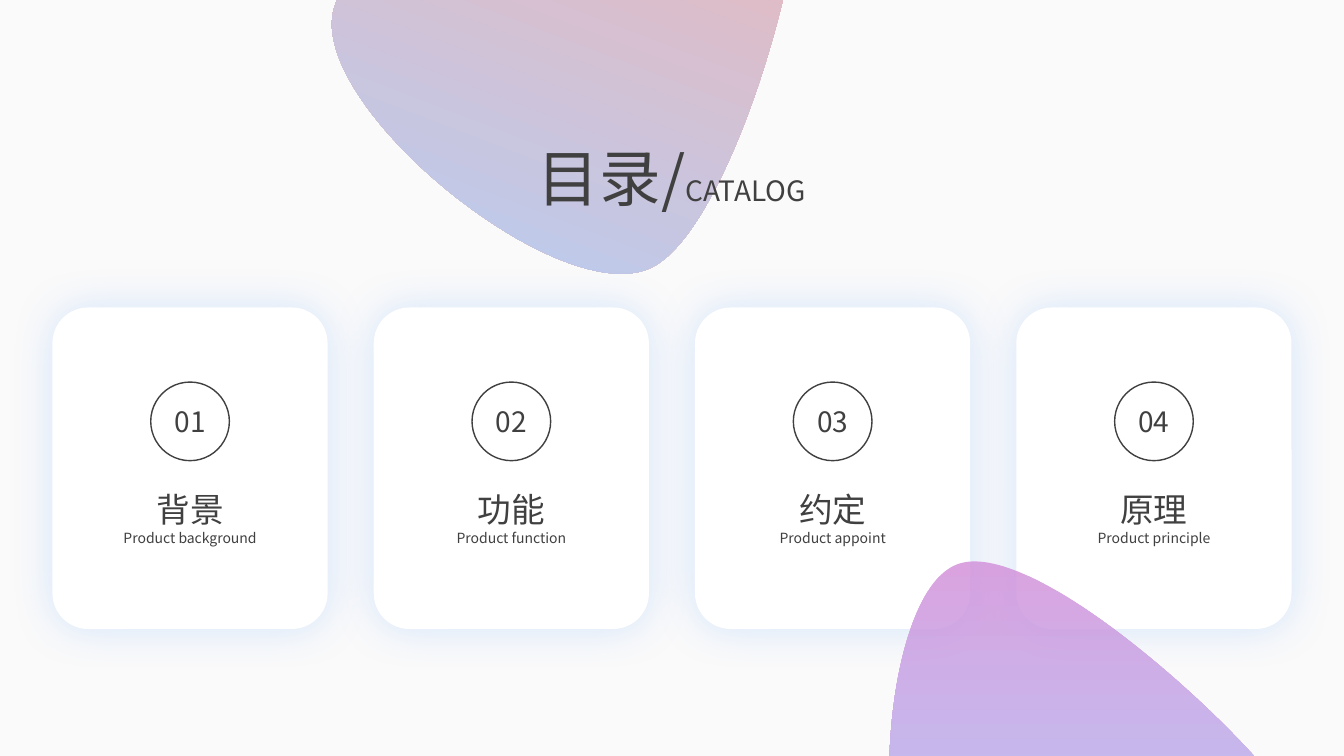
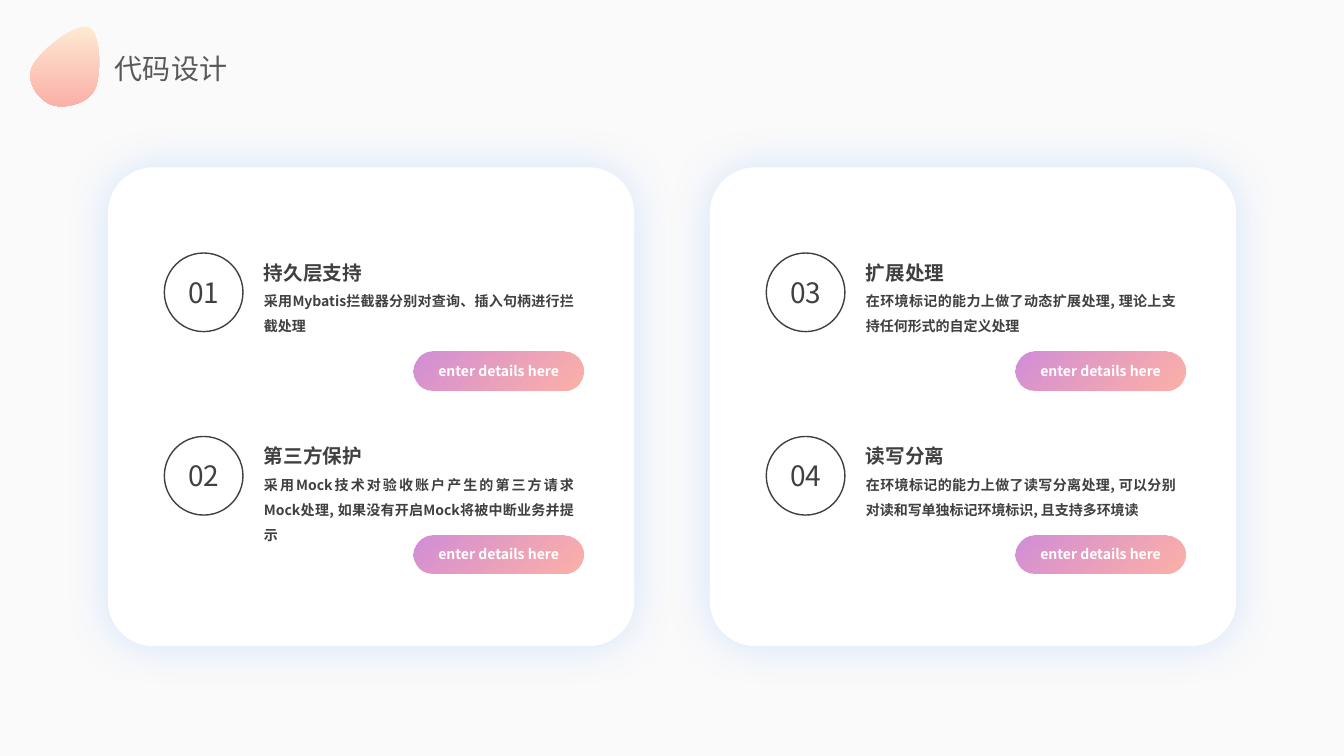
import math
import pptx
import pptx.util
import pptx.dml.color
import pptx.enum.shapes
import pptx.enum.text
import pptx.oxml.ns
from lxml import etree
from dataclasses import dataclass

Inches, Pt = pptx.util.Inches, pptx.util.Pt
RGB = pptx.dml.color.RGBColor.from_string
SHAPE = pptx.enum.shapes.MSO_SHAPE
ALIGN = pptx.enum.text.PP_ALIGN
ANCHOR = pptx.enum.text.MSO_ANCHOR
qn = pptx.oxml.ns.qn


@dataclass(frozen=True)
class Theme:
    width: float = 13.33
    height: float = 7.5
    font: str = "Noto Sans CJK SC"
    back: str = "FAFAFA"
    white: str = "FFFFFF"
    ink: str = "404040"
    grey: str = "595959"
    pink: str = "FC9E94"
    blue: str = "9DC6FC"
    purple: str = "D18DD9"
    cream: str = "FFE6CA"
    huge: int = 44
    large: int = 24
    head: int = 20
    lead: int = 14
    small: int = 10
    ring: float = 0.78


T = Theme()

CATALOG = [
    ("背景", "Product background"),
    ("功能", "Product function"),
    ("约定", "Product appoint"),
    ("原理", "Product principle"),
]
DESIGN = [
    ("持久层支持", "采用Mybatis拦截器分别对查询、插入句柄进行拦截处理"),
    ("第三方保护", "采用Mock技术对验收账户产生的第三方请求Mock处理, "
              "如果没有开启Mock将被中断业务并提示"),
    ("扩展处理", "在环境标记的能力上做了动态扩展处理, "
             "理论上支持任何形式的自定义处理"),
    ("读写分离", "在环境标记的能力上做了读写分离处理, "
             "可以分别对读和写单独标记环境标识, 且支持多环境读"),
]
BUTTON = "enter details here"

# Each blob: its box, then a start point and cubic curves of two controls
# and an end.
TOP = (3.97, -2.17, 4.33, 5.19), [
    (3.31, 0.09),
    (3.57, -0.88), (7.15, -2.69), (7.78, -2.18),
    (8.41, -1.67), (7.37, 2.2), (6.47, 2.65),
    (5.58, 3.11), (3.05, 1.06), (3.31, 0.09)]
LOW = (8.82, 5.57, 4.21, 4.11), [
    (9.49, 5.6),
    (8.78, 5.87), (8.58, 8.42), (9.15, 9.18),
    (9.73, 9.94), (11.67, 9.67), (12.38, 9.39),
    (13.08, 9.12), (13.26, 8.56), (12.69, 7.8),
    (12.11, 7.04), (10.2, 5.32), (9.49, 5.6)]
DROP = (0.3, 0.26, 0.69, 0.79), [
    (0.88, 0.27),
    (1, 0.32), (1.01, 0.74), (0.94, 0.89),
    (0.86, 1.04), (0.63, 1.08), (0.51, 1.04),
    (0.38, 0.99), (0.25, 0.81), (0.32, 0.66),
    (0.39, 0.51), (0.75, 0.22), (0.88, 0.27)]


def spread(count, edge, width):
    """Left sides of equal columns between two equal margins."""
    step = (T.width - 2 * edge - width) / (count - 1)
    return [edge + i * step for i in range(count)]


def style(para, size, color=T.ink, bold=False, align=ALIGN.CENTER, line=None):
    para.alignment = align
    if line:
        para.line_spacing = line
    font = para.font
    font.size, font.bold = Pt(size), bold
    font.color.rgb = RGB(color)
    font.name = T.font
    props = para._p.pPr.find(qn("a:defRPr"))
    etree.SubElement(props, qn("a:ea"), typeface=T.font)


def write(frame, lines, **look):
    """Fill a frame with (text, size) lines of one look."""
    frame.word_wrap = True
    for i, (text, size) in enumerate(lines):
        para = frame.add_paragraph() if i else frame.paragraphs[0]
        para.text = text
        style(para, size, **look)


def label(slide, box, lines, **look):
    write(slide.shapes.add_textbox(*map(Inches, box)).text_frame, lines, **look)


def title(slide, box, runs, **look):
    shape = slide.shapes.title
    shape.left, shape.top, shape.width, shape.height = map(Inches, box)
    frame = shape.text_frame
    frame.auto_size = pptx.enum.text.MSO_AUTO_SIZE.NONE
    frame.vertical_anchor = ANCHOR.TOP
    para = frame.paragraphs[0]
    for text, size in runs:
        run = para.add_run()
        run.text = text
        run.font.size = Pt(size)
    style(para, runs[0][1], **look)
    slide.shapes._spTree.append(shape._element)


def blend(shape, colors, angle, alphas=(80, 80)):
    """Two-colour gradient, clockwise angle, without outline."""
    shape.shadow.inherit = False
    shape.line.fill.background()
    shape.fill.gradient()
    shape.fill.gradient_angle = 360 - angle
    for stop, color in zip(shape.fill.gradient_stops, colors):
        stop.color.rgb = RGB(color)
    tones = shape._element.spPr.iter(qn("a:srgbClr"))
    for tone, alpha in zip(list(tones), alphas):
        etree.SubElement(tone, qn("a:alpha"), val=str(alpha * 1000))


def blob(slide, form, colors, angle, turn=0):
    """Closed curve; its points are given as they look after the turn."""
    (left, top, wide, high), points = form
    frame = [(left + wide, top), (left + wide, top + high), (left, top + high)]
    pen = slide.shapes.build_freeform(Inches(left), Inches(top))
    pen.add_line_segments([tuple(map(Inches, p)) for p in frame], close=True)
    shape = pen.convert_to_shape()
    shape.rotation = turn
    cos, sin = math.cos(math.radians(turn)), math.sin(math.radians(turn))
    route = next(shape._element.iter(qn("a:path")))
    for step in list(route):
        route.remove(step)
    for i, (x, y) in enumerate(points):
        if i == 0:
            step = etree.SubElement(route, qn("a:moveTo"))
        elif i % 3 == 1:
            step = etree.SubElement(route, qn("a:cubicBezTo"))
        dx, dy = x - left - wide / 2, y - top - high / 2
        etree.SubElement(
            step, qn("a:pt"),
            x=str(Inches(wide / 2 + dx * cos + dy * sin)),
            y=str(Inches(high / 2 - dx * sin + dy * cos)))
    etree.SubElement(route, qn("a:close"))
    blend(shape, colors, angle)


def card(slide, left, top, width, height, curve):
    shape = slide.shapes.add_shape(
        SHAPE.ROUNDED_RECTANGLE, *map(Inches, (left, top, width, height)))
    shape.adjustments[0] = curve
    shape.fill.solid()
    shape.fill.fore_color.rgb = RGB(T.white)
    shape.line.fill.background()
    shape.shadow.inherit = False
    glow = etree.SubElement(
        shape._element.spPr.find(qn("a:effectLst")), qn("a:outerShdw"),
        blurRad=str(Pt(30)), dist="0", dir="0", algn="ctr", rotWithShape="0")
    tone = etree.SubElement(glow, qn("a:srgbClr"), val=T.blue)
    etree.SubElement(tone, qn("a:alpha"), val="40000")


def badge(slide, left, top, number):
    ring = slide.shapes.add_shape(
        SHAPE.OVAL, *map(Inches, (left, top, T.ring, T.ring)))
    ring.shadow.inherit = False
    ring.fill.background()
    ring.line.color.rgb = RGB(T.ink)
    ring.line.width = Pt(1)
    frame = ring.text_frame
    frame.margin_left = frame.margin_right = 0
    frame.vertical_anchor = ANCHOR.MIDDLE
    write(frame, [(f"{number:02}", T.head)])


def pill(slide, left, top):
    shape = slide.shapes.add_shape(
        SHAPE.ROUNDED_RECTANGLE, *map(Inches, (left, top, 1.69, 0.38)))
    shape.adjustments[0] = 0.5
    blend(shape, (T.purple, T.pink), 45, (100, 80))
    shape.text_frame.vertical_anchor = ANCHOR.MIDDLE
    write(shape.text_frame, [(BUTTON, T.small)], color=T.white, bold=True)


def catalog(slide):
    blob(slide, TOP, (T.pink, T.blue), 45, turn=66)
    title(slide, (4.66, 1.34, 4.01, 0.84),
          [("目录/", T.huge), ("CATALOG", T.head)])
    wide, top = 2.73, 3.05
    lefts = spread(len(CATALOG), 0.52, wide)
    for i, (left, (name, note)) in enumerate(zip(lefts, CATALOG), 1):
        card(slide, left, top, wide, 3.19, 0.13)
        badge(slide, left + (wide - T.ring) / 2, top + 0.74, i)
        label(slide, (left + 0.44, top + 1.75, wide - 0.88, 0.67),
              [(name, T.large), (note, T.small)])
    blob(slide, LOW, (T.purple, T.blue), 90)


def design(slide):
    title(slide, (1.04, 0.46, 1.63, 0.44), [("代码设计", T.head)],
          color=T.grey, align=ALIGN.LEFT)
    blob(slide, DROP, (T.cream, T.pink), 90)
    wide, top, rows = 5.22, 1.66, 2
    for col, left in enumerate(spread(2, 1.07, wide)):
        card(slide, left, top, wide, 4.75, 0.095)
        for row in range(rows):
            i = col * rows + row
            y = top + 0.76 + row * 1.82
            name, note = DESIGN[i]
            badge(slide, left + 0.56, y + 0.09, i + 1)
            label(slide, (left + 1.45, y, 3.27, 0.96),
                  [(name, T.lead), (note, T.small)],
                  bold=True, align=ALIGN.JUSTIFY, line=1.5)
            pill(slide, left + 3.03, y + 1.07)


def main():
    deck = pptx.Presentation()
    deck.slide_width, deck.slide_height = Inches(T.width), Inches(T.height)
    fill = deck.slide_master.background.fill
    fill.solid()
    fill.fore_color.rgb = RGB(T.back)
    for draw in (catalog, design):
        draw(deck.slides.add_slide(deck.slide_layouts.get_by_name("Title Only")))
    deck.save("out.pptx")


if __name__ == "__main__":
    main()
